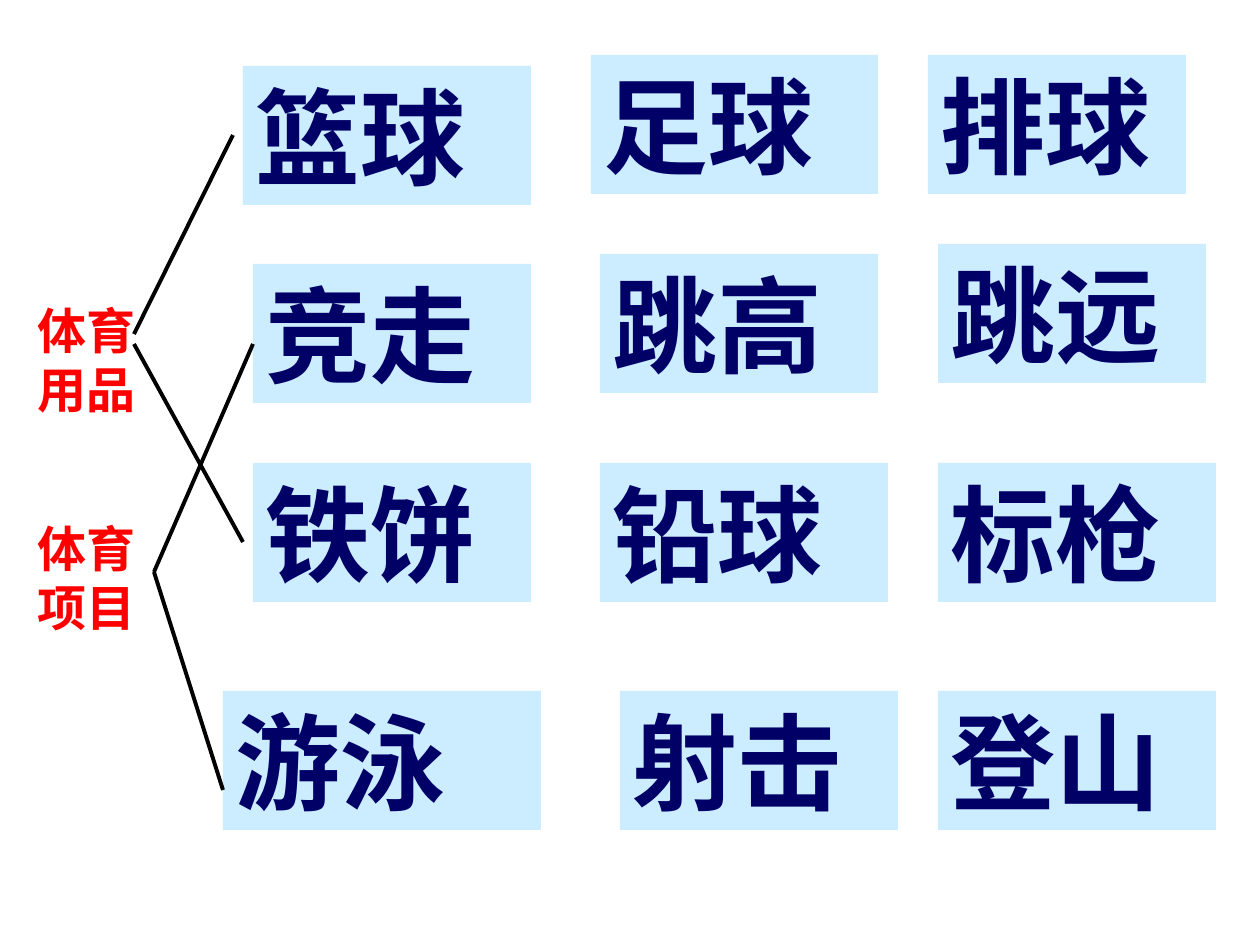
from dataclasses import dataclass

from lxml.etree import SubElement
from pptx import Presentation
from pptx.dml.color import RGBColor
from pptx.enum.shapes import MSO_CONNECTOR, MSO_SHAPE
from pptx.enum.text import MSO_ANCHOR, MSO_AUTO_SIZE, PP_ALIGN
from pptx.oxml.ns import qn
from pptx.util import Emu, Pt

EMU_PER_PX = 914400 / 126


def px(length):
    return Emu(round(length * EMU_PER_PX))


@dataclass(frozen=True)
class Theme:
    font: str = "DejaVu Sans"
    card_fill: RGBColor = RGBColor(0xCC, 0xEC, 0xFF)
    card_text: RGBColor = RGBColor(0x00, 0x00, 0x66)
    label_text: RGBColor = RGBColor(0xFF, 0x00, 0x00)
    line: RGBColor = RGBColor(0x00, 0x00, 0x00)
    card_size: Pt = Pt(60)
    label_size: Pt = Pt(28)
    line_width: Pt = Pt(2.25)


class SlideBuilder:
    def __init__(self, slide, theme):
        self.slide = slide
        self.theme = theme

    def add_text(self, shape, text, size, color):
        frame = shape.text_frame
        frame.word_wrap = True
        frame.auto_size = MSO_AUTO_SIZE.SHAPE_TO_FIT_TEXT
        frame.vertical_anchor = MSO_ANCHOR.TOP
        paragraph = frame.paragraphs[0]
        paragraph.alignment = PP_ALIGN.LEFT
        run = paragraph.add_run()
        run.text = text
        run.font.size = size
        run.font.bold = True
        run.font.color.rgb = color
        run.font.name = self.theme.font
        # Chinese characters take the East Asian font
        east_asian = SubElement(run.font._element, qn("a:ea"))
        east_asian.set("typeface", self.theme.font)

    def card(self, text, left, top, width, height):
        shape = self.slide.shapes.add_shape(
            MSO_SHAPE.RECTANGLE, px(left), px(top), px(width), px(height))
        shape.shadow.inherit = False
        shape.fill.solid()
        shape.fill.fore_color.rgb = self.theme.card_fill
        shape.line.fill.background()
        self.add_text(shape, text, self.theme.card_size, self.theme.card_text)

    def line(self, shapes, start, end):
        connector = shapes.add_connector(
            MSO_CONNECTOR.STRAIGHT, *map(px, start + end))
        connector.line.color.rgb = self.theme.line
        connector.line.width = self.theme.line_width
        SubElement(connector._element.spPr, qn("a:effectLst"))

    def label(self, shapes, text, left, top, width, height):
        box = shapes.add_textbox(px(left), px(top), px(width), px(height))
        self.add_text(box, text, self.theme.label_size, self.theme.label_text)

    def category(self, text, top, lines):
        shapes = self.slide.shapes.add_group_shape().shapes
        for start, end in lines:
            self.line(shapes, start, end)
        self.label(shapes, text, 25, top, 124, 131)


CARD_HEIGHT = 139

# Word, left, top, width
CARDS = [
    ("篮球", 243, 66, 288), ("足球", 591, 55, 287), ("排球", 928, 55, 258),
    ("竞走", 253, 264, 278), ("跳高", 600, 254, 278), ("跳远", 938, 244, 268),
    ("铁饼", 253, 463, 278), ("铅球", 600, 463, 288), ("标枪", 938, 463, 278),
    ("游泳", 223, 691, 318), ("射击", 620, 691, 278), ("登山", 938, 691, 278),
]

# Label, top, lines between the label and its rows of words
CATEGORIES = [
    ("体育用品", 294, [((233, 135), (134, 334)), ((243, 542), (134, 344))]),
    ("体育项目", 512, [((154, 572), (223, 790)), ((253, 344), (154, 572))]),
]


def main():
    presentation = Presentation()
    presentation.slide_width = px(1260)
    presentation.slide_height = px(945)
    slide = presentation.slides.add_slide(presentation.slide_layouts[6])
    builder = SlideBuilder(slide, Theme())

    # Word cards
    for text, left, top, width in CARDS:
        builder.card(text, left, top, width, CARD_HEIGHT)

    # Category labels with their lines
    for text, top, lines in CATEGORIES:
        builder.category(text, top, lines)

    presentation.save("out.pptx")


if __name__ == "__main__":
    main()
